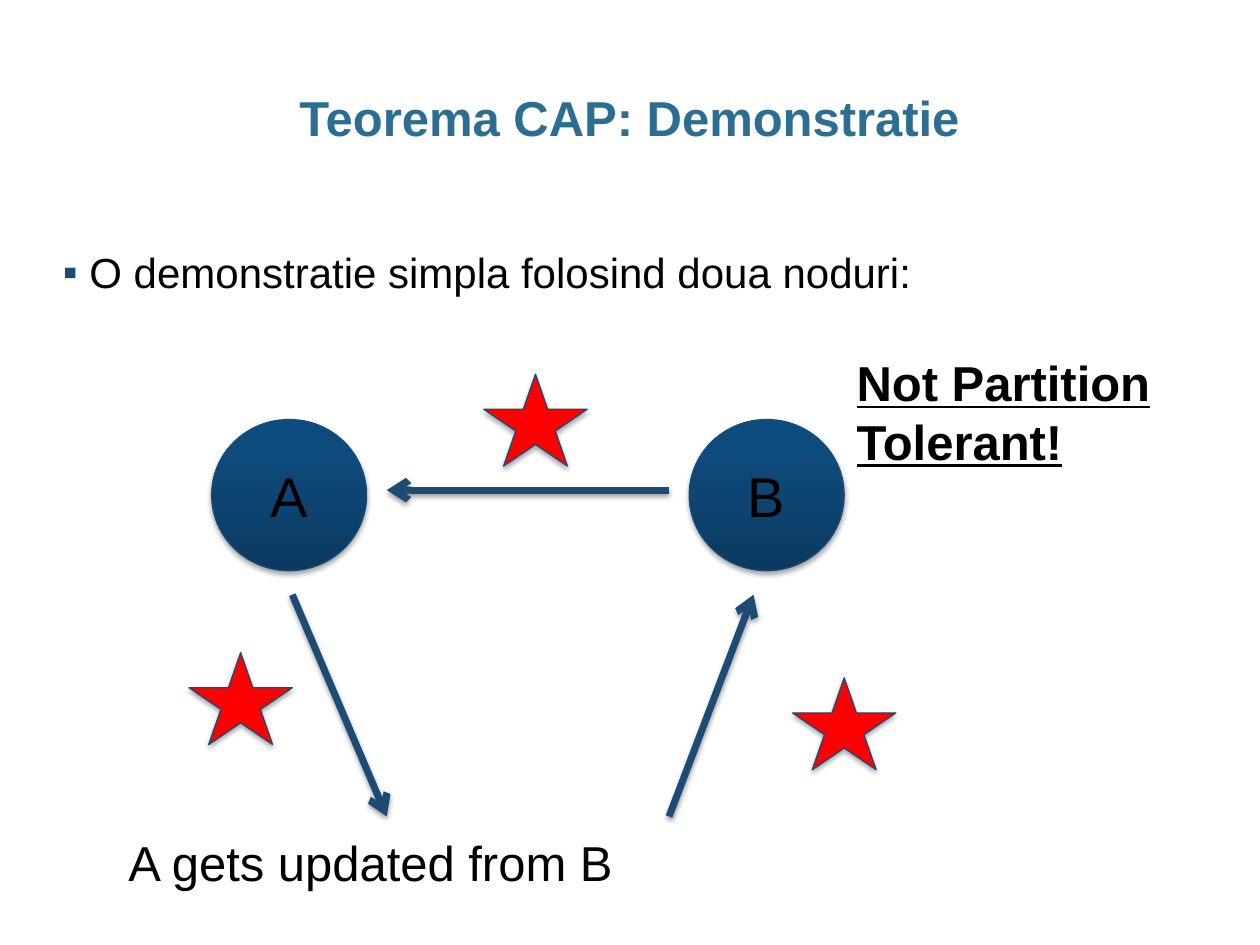
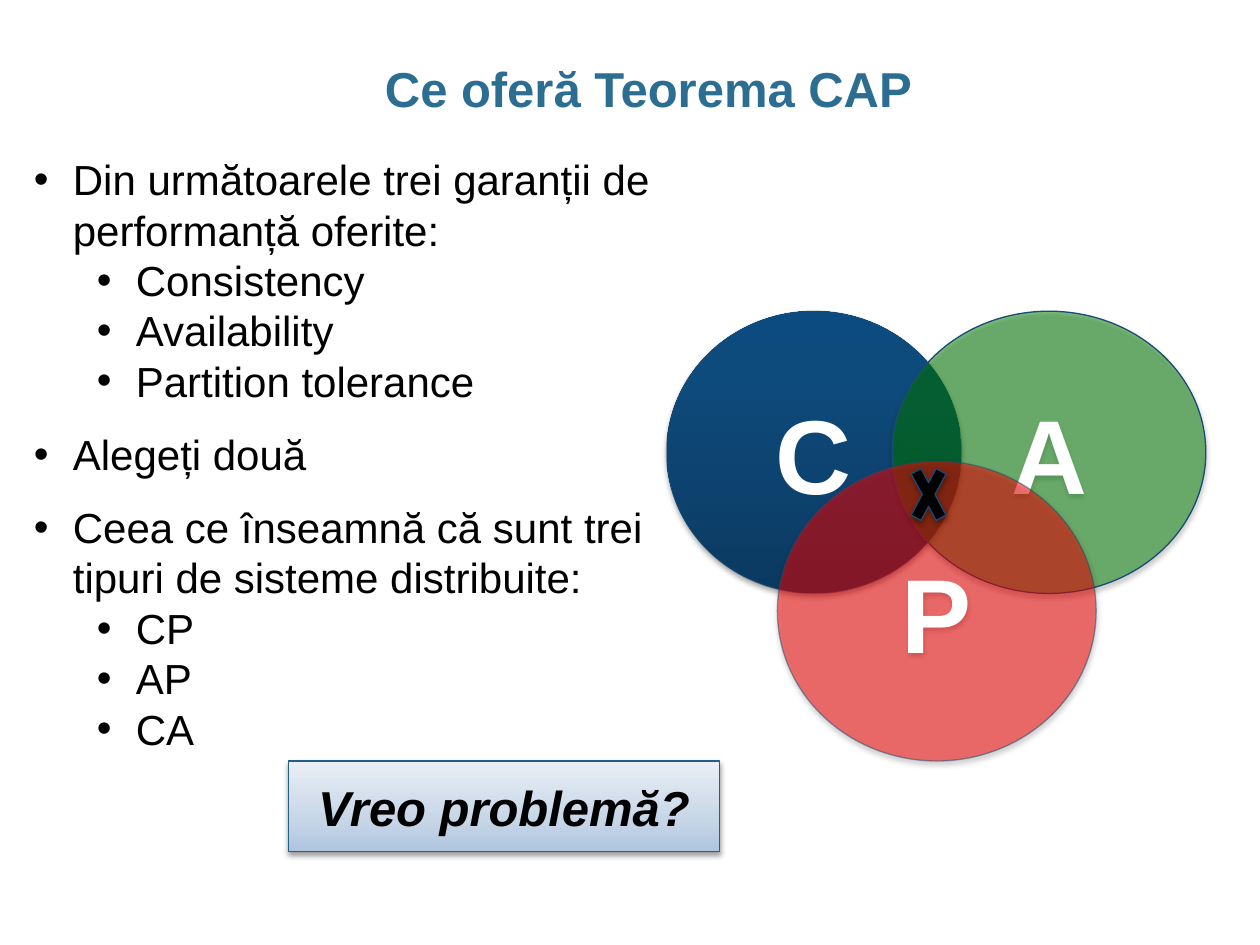
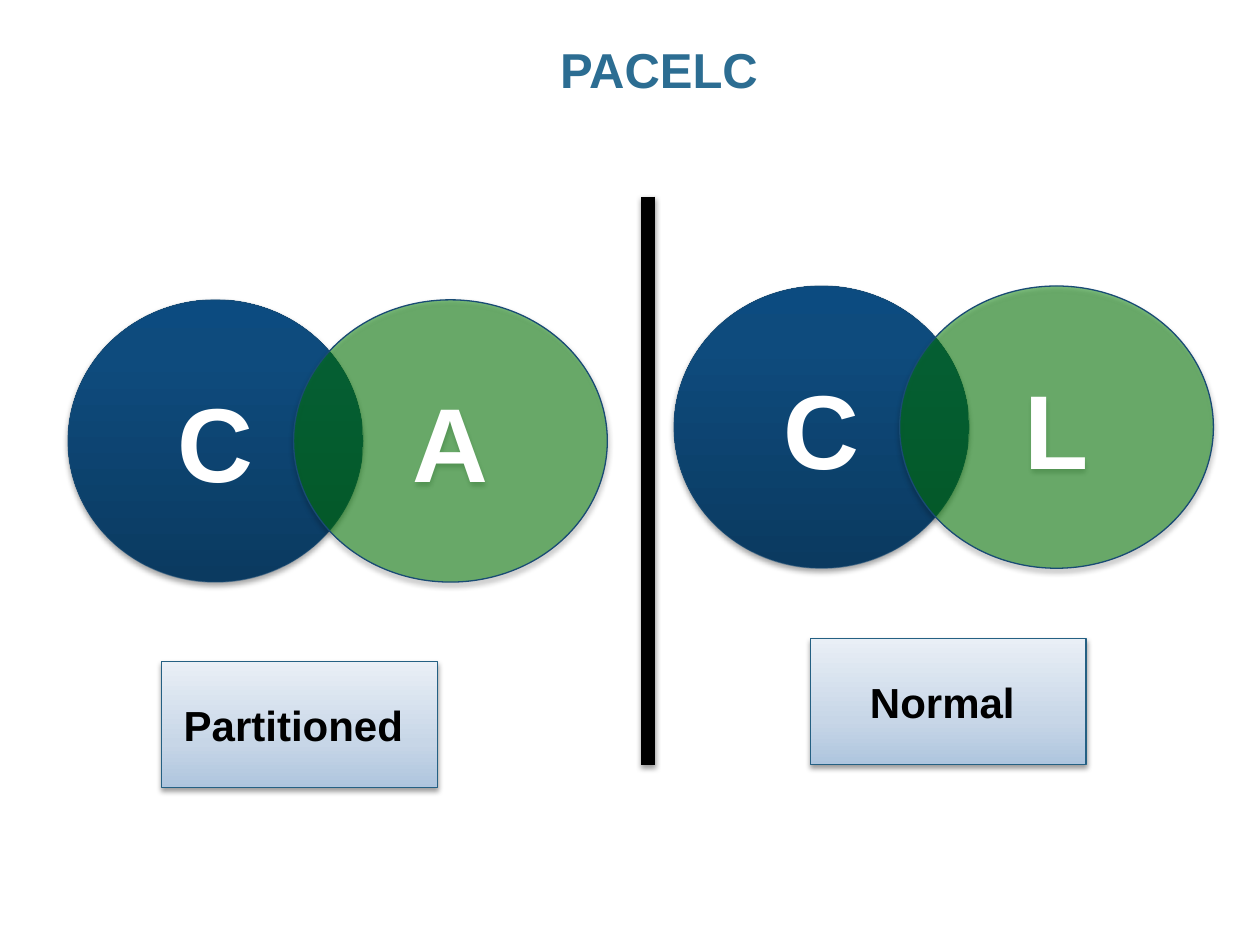
from lxml.etree import SubElement
from pptx import Presentation
from pptx.dml.color import RGBColor
from pptx.enum.shapes import MSO_CONNECTOR, MSO_SHAPE
from pptx.enum.text import MSO_ANCHOR, MSO_AUTO_SIZE, PP_ALIGN
from pptx.oxml.ns import qn
from pptx.util import Inches, Pt

FONT = "Arial"
BLACK = RGBColor(0x00, 0x00, 0x00)
WHITE = RGBColor(0xFF, 0xFF, 0xFF)
RED = RGBColor(0xFF, 0x00, 0x00)
GREEN = RGBColor(0x00, 0x80, 0x00)
TITLE_BLUE = RGBColor(0x2C, 0x6D, 0x92)
ARROW_BLUE = RGBColor(0x1C, 0x4C, 0x74)
OUTLINE = RGBColor(0x19, 0x4B, 0x74)
LABEL_OUTLINE = RGBColor(0x24, 0x60, 0x83)
NAVY_GRADIENT = [
    (0, RGBColor(0x0B, 0x3A, 0x60)),
    (80, RGBColor(0x0E, 0x4B, 0x7D)),
    (100, RGBColor(0x0C, 0x4B, 0x80)),
]
PALE_GRADIENT = [
    (0, RGBColor(0xAE, 0xC5, 0xDE)),
    (35, RGBColor(0xC7, 0xD6, 0xE7)),
    (100, RGBColor(0xE9, 0xEF, 0xF6)),
]

PROOF_TITLE = ("Teorema CAP: Demonstratie", (0.34, 0.68, 9.31, 0.5))
PROOF_INTRO = "O demonstratie simpla folosind doua noduri:"
PROOF_NODES = [("A", 1.68), ("B", 5.47)]
PROOF_ARROWS = [
    ((5.31, 6.48), (5.98, 4.72)),
    ((2.32, 4.72), (3.07, 6.48)),
    ((5.31, 3.89), (3.07, 3.89)),
]
PROOF_STARS = [(6.29, 5.38), (1.5, 5.18), (3.84, 2.97)]

OFFER_TITLE = ("Ce oferă Teorema CAP", (0.48, 0.45, 9.33, 0.72))
OFFER_POINTS = [
    ("Din următoarele trei garanții de performanță oferite:",
     ["Consistency", "Availability", "Partition tolerance"]),
    ("Alegeți două", []),
    ("Ceea ce înseamnă că sunt trei tipuri de sisteme distribuite:",
     ["CP", "AP", "CA"]),
]

PACELC_TITLE = ("PACELC", (0.73, 0.3, 9, 1.25))
PACELC_PAIRS = [("CA", 0.54, 2.38), ("CL", 5.35, 2.27)]
PACELC_LABELS = [("Partitioned ", 1.28, 5.25), ("Normal ", 6.43, 5.07)]


def write(para, text, size=24, color=BLACK, bold=None, italic=None,
          underline=None, align=None):
    para.alignment = align
    span = para.add_run()
    span.text = text
    font = span.font
    font.name, font.size, font.color.rgb = FONT, Pt(size), color
    font.bold, font.italic, font.underline = bold, italic, underline


def add_bullet(para, symbol, margin, hang, color=BLACK):
    props = para._p.get_or_add_pPr()
    props.set("marL", str(Inches(margin)))
    props.set("indent", str(-Inches(hang)))
    tint = SubElement(props, qn("a:buClr"))
    SubElement(tint, qn("a:srgbClr"), val=str(color))
    SubElement(props, qn("a:buFont"), typeface=FONT)
    SubElement(props, qn("a:buChar"), char=symbol)


def set_alpha(parent, percent):
    color = parent.find(".//" + qn("a:srgbClr"))
    SubElement(color, qn("a:alpha"), val=str(percent * 1000))


def add_shadow(item, alpha=35, distance=1.8):
    effects = SubElement(item._element.spPr, qn("a:effectLst"))
    shadow = SubElement(effects, qn("a:outerShdw"), blurRad=str(Pt(3.1)),
                        dist=str(Pt(distance)), dir="5400000", rotWithShape="0")
    color = SubElement(shadow, qn("a:srgbClr"), val=str(BLACK))
    SubElement(color, qn("a:alpha"), val=str(alpha * 1000))


def fill_gradient(shape, stops):
    shape.fill.gradient()
    shape.fill.gradient_angle = 90
    stop_list = shape._element.spPr.find(".//" + qn("a:gsLst"))
    for old_stop in list(stop_list):
        stop_list.remove(old_stop)
    for position, color in stops:
        stop = SubElement(stop_list, qn("a:gs"), pos=str(position * 1000))
        SubElement(stop, qn("a:srgbClr"), val=str(color))


def add_figure(page, kind, area, fill, alpha=None, outline=OUTLINE,
               line_alpha=None, shadow=(35, 1.8), text=None, **style):
    shape = page.shapes.add_shape(kind, *map(Inches, area))
    if isinstance(fill, list):
        fill_gradient(shape, fill)
    else:
        shape.fill.solid()
        shape.fill.fore_color.rgb = fill
        if alpha:
            set_alpha(shape._element.spPr.find(qn("a:solidFill")), alpha)
    shape.line.color.rgb = outline
    shape.line.width = Pt(0.75)
    if line_alpha:
        set_alpha(shape._element.spPr.find(qn("a:ln")), line_alpha)
    add_shadow(shape, *shadow)
    if text:
        frame = shape.text_frame
        frame.vertical_anchor = MSO_ANCHOR.MIDDLE
        write(frame.paragraphs[0], text, align=PP_ALIGN.CENTER, **style)


def add_line(page, start, end, color, width, arrow=False):
    line = page.shapes.add_connector(
        MSO_CONNECTOR.STRAIGHT, *map(Inches, start + end))
    line.line.color.rgb = color
    line.line.width = Pt(width)
    if arrow:
        SubElement(line.line._get_or_add_ln(), qn("a:tailEnd"), type="arrow")
    add_shadow(line, 38, 1.6)


def add_text_frame(page, area):
    box = page.shapes.add_textbox(*map(Inches, area))
    box.text_frame.word_wrap = True
    return box.text_frame


def add_label(page, text, area, **style):
    add_figure(page, MSO_SHAPE.RECTANGLE, area, PALE_GRADIENT,
               outline=LABEL_OUTLINE, shadow=(38, 1.6), text=text,
               bold=True, **style)


def add_circle(page, text, area, fill, **look):
    add_figure(page, MSO_SHAPE.OVAL, area, fill, text=text, size=60,
               color=WHITE, bold=True, **look)


def add_venn_pair(page, letters, left, top):
    add_circle(page, letters[0], (left, top, 2.34, 2.24), NAVY_GRADIENT,
               line_alpha=50)
    add_circle(page, letters[1], (left + 1.79, top, 2.49, 2.24), GREEN, alpha=50)


def add_page(deck, text, area):
    page = deck.slides.add_slide(deck.slide_layouts[5])
    title = page.shapes.title
    title.left, title.top, title.width, title.height = map(Inches, area)
    frame = title.text_frame
    frame.auto_size = MSO_AUTO_SIZE.NONE
    frame.vertical_anchor = MSO_ANCHOR.TOP
    frame.margin_left = frame.margin_right = 0
    para = frame.paragraphs[0]
    write(para, text, size=28, color=TITLE_BLUE, bold=True,
          align=PP_ALIGN.CENTER)
    para.line_spacing = 0.95
    return page


def build_proof(deck):
    page = add_page(deck, *PROOF_TITLE)
    intro = add_text_frame(page, (0.5, 1.91, 8.04, 0.91))
    intro.margin_left = intro.margin_right = 0
    write(intro.paragraphs[0], PROOF_INTRO)
    add_bullet(intro.paragraphs[0], "▪", 0.21, 0.21, ARROW_BLUE)
    for name, left in PROOF_NODES:
        add_figure(page, MSO_SHAPE.OVAL, (left, 3.33, 1.23, 1.2),
                   NAVY_GRADIENT, text=name, size=32)
    for start, end in PROOF_ARROWS:
        add_line(page, start, end, ARROW_BLUE, 4, arrow=True)
    for left, top in PROOF_STARS:
        add_figure(page, MSO_SHAPE.STAR_5_POINT, (left, top, 0.82, 0.73), RED)
    verdict = add_text_frame(page, (6.7, 2.75, 3.08, 1.04))
    write(verdict.paragraphs[0], "Not Partition Tolerant!", size=28,
          bold=True, underline=True)
    update = add_text_frame(page, (0.92, 6.56, 4.55, 0.57))
    write(update.paragraphs[0], "A gets updated from B", size=28)


def build_offer(deck):
    page = add_page(deck, *OFFER_TITLE)
    add_venn_pair(page, "CA", 5.29, 2.47)
    add_circle(page, "P", (6.17, 3.66, 2.53, 2.38), RED, alpha=50, line_alpha=50)
    add_figure(page, MSO_SHAPE.MATH_MULTIPLY, (7.18, 3.57, 0.38, 0.71), BLACK)
    frame = add_text_frame(page, (0.17, 1.17, 5.35, 4.91))
    for index, (point, details) in enumerate(OFFER_POINTS):
        para = frame.add_paragraph() if index else frame.paragraphs[0]
        if index:
            para.space_before = Pt(13)
        write(para, point)
        add_bullet(para, "•", 0.31, 0.31)
        for detail in details:
            para = frame.add_paragraph()
            para.level = 1
            write(para, detail)
            add_bullet(para, "•", 0.81, 0.31)
    add_label(page, "Vreo problemă?", (2.29, 6.04, 3.42, 0.72), size=28,
              italic=True)


def build_pacelc(deck):
    page = add_page(deck, *PACELC_TITLE)
    for letters, left, top in PACELC_PAIRS:
        add_venn_pair(page, letters, left, top)
    add_line(page, (5.14, 1.56), (5.14, 6.07), BLACK, 8)
    for text, left, top in PACELC_LABELS:
        add_label(page, text, (left, top, 2.19, 1))


def main():
    deck = Presentation()
    deck.slide_width, deck.slide_height = Inches(10), Inches(7.5)
    build_proof(deck)
    build_offer(deck)
    build_pacelc(deck)
    deck.save("out.pptx")


if __name__ == "__main__":
    main()
